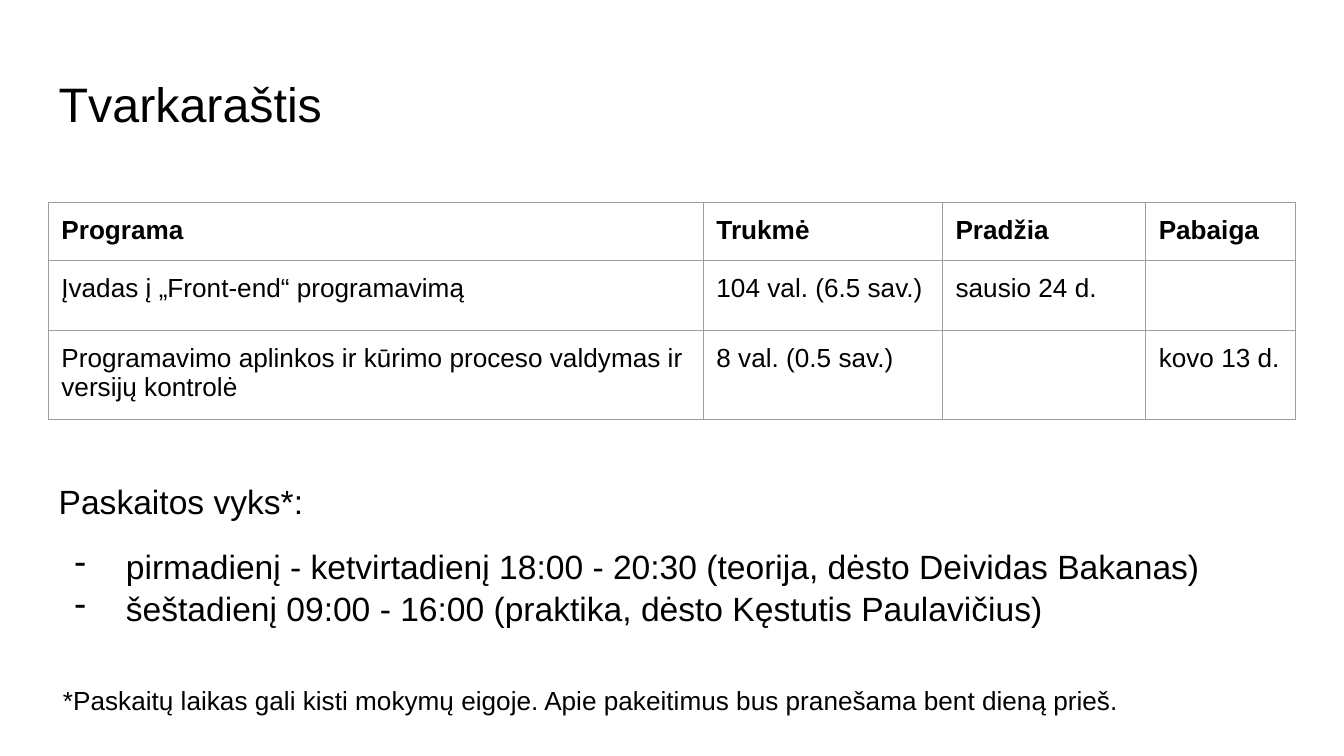
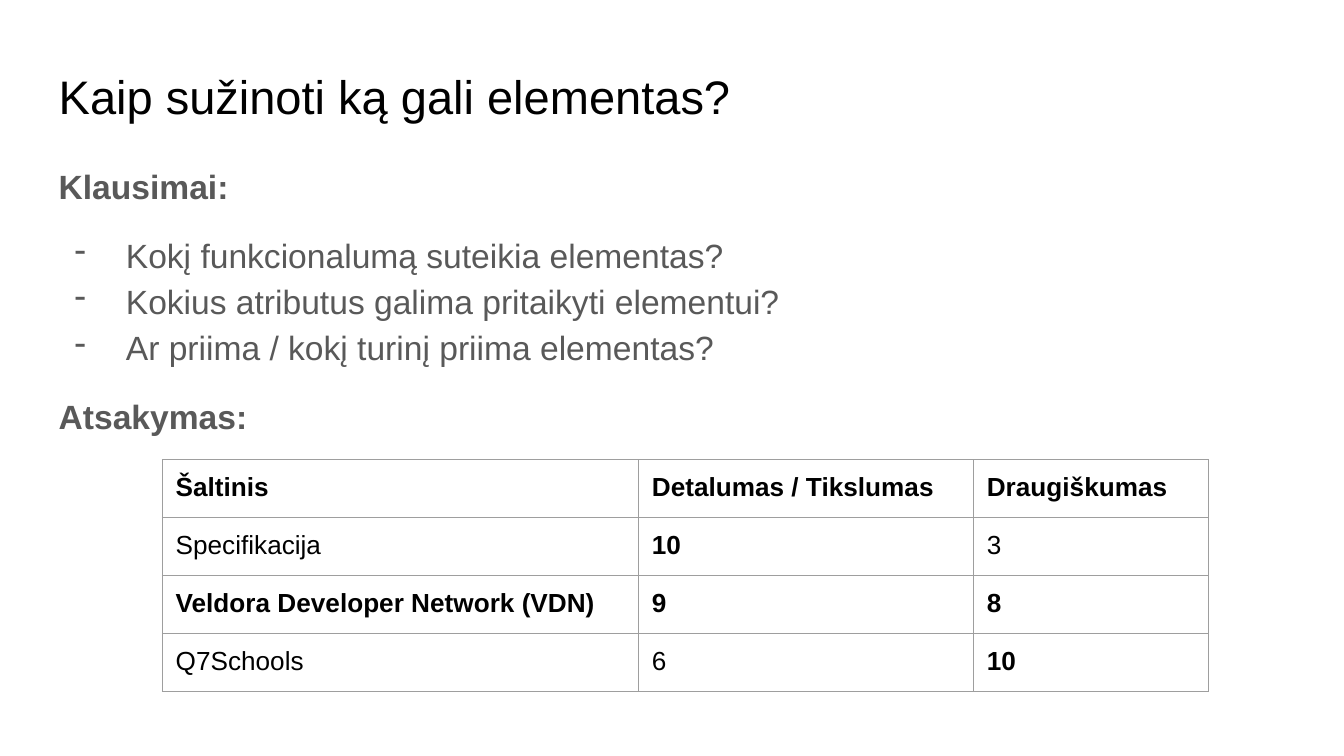
"""Builds two course slides: a timetable and a comparison of reference sources."""
from lxml import etree
from pptx import Presentation
from pptx import util as u
from pptx.dml.color import RGBColor
from pptx.enum import text
from pptx.oxml import ns

COLORS = {"ink": "000000", "body": "595959", "border": "9E9E9E"}
FONT = "Arial"
LEFT, WIDTH, INSET = 0.86, 23.67, 0.25


class Deck:
    """Holds the style and the current slide."""

    def __init__(self):
        self.prs = Presentation()
        self.prs.slide_width, self.prs.slide_height = u.Cm(25.4), u.Cm(14.29)

    def slide(self):
        self.s = self.prs.slides.add_slide(self.prs.slide_layouts[6])

    def font(self, p, size, color, bold=False):
        for r in p.runs:
            r.font.name, r.font.size, r.font.bold = FONT, u.Pt(size), bold
            r.font.color.rgb = RGBColor.from_string(COLORS[color])

    def inset(self, box):
        box.margin_left = box.margin_right = u.Cm(INSET)
        box.margin_top = box.margin_bottom = u.Cm(INSET)

    def text(self, lines, x, y, w, h, size, color="ink", spacing=1.0):
        sp = self.s.shapes.add_textbox(u.Cm(x), u.Cm(y), u.Cm(w), u.Cm(h))
        tf = sp.text_frame
        tf.word_wrap = True
        tf.vertical_anchor = text.MSO_ANCHOR.TOP
        self.inset(tf)
        tf.text = "\n".join(lines)
        for p in tf.paragraphs:
            p.line_spacing = spacing
            self.font(p, size, color)
        return tf.paragraphs

    def title(self, words, y, size, spacing=1.0):
        self.text([words], LEFT, y, WIDTH, 1.6, size, spacing=spacing)

    def bullet(self, p, color):
        pPr = p._p.get_or_add_pPr()
        pPr.set("marL", str(u.Cm(1.27)))
        pPr.set("indent", str(u.Cm(-0.97)))
        clr = etree.SubElement(pPr, ns.qn("a:buClr"))
        etree.SubElement(clr, ns.qn("a:srgbClr"), val=COLORS[color])
        etree.SubElement(pPr, ns.qn("a:buChar"), char="-")

    def body(self, groups, y, h, color, spacing, bold=False):
        lines = [line for head, items in groups for line in (head, *items)]
        paragraphs = iter(self.text(lines, LEFT, y, WIDTH, h, 18, color, spacing))
        for n, (_, items) in enumerate(groups):
            p = next(paragraphs)
            self.font(p, 18, color, bold)
            p.space_before = u.Pt(12 if n else 0)
            for i in range(len(items)):
                p = next(paragraphs)
                p.space_before = u.Pt(0 if i else 12)
                self.bullet(p, color)

    def borders(self, cell):
        tcPr = cell._tc.get_or_add_tcPr()
        for side in ("lnL", "lnR", "lnT", "lnB"):
            ln = etree.SubElement(tcPr, ns.qn(f"a:{side}"), w=str(u.Pt(0.75)))
            fill = etree.SubElement(ln, ns.qn("a:solidFill"))
            etree.SubElement(fill, ns.qn("a:srgbClr"), val=COLORS["border"])

    def table(self, rows, x, y, widths, heights, bold=()):
        sp = self.s.shapes.add_table(len(rows), len(widths), u.Cm(x), u.Cm(y),
                                     u.Cm(sum(widths)), u.Cm(sum(heights)))
        tbl = sp.table
        tbl.first_row = tbl.horz_banding = False
        for col, w in zip(tbl.columns, widths):
            col.width = u.Cm(w)
        for i, (row, h) in enumerate(zip(rows, heights)):
            tbl.rows[i].height = u.Cm(h)
            for j, words in enumerate(row):
                cell = tbl.cell(i, j)
                cell.text_frame.text = words
                self.inset(cell)
                self.borders(cell)
                cell.fill.background()
                self.font(cell.text_frame.paragraphs[0], 14, "ink",
                          i == 0 or (i, j) in bold)


def timetable(deck):
    deck.slide()
    deck.title("Tvarkaraštis", 1.24, 25.9, 0.95)
    deck.body([("Paskaitos vyks*:", [
        "pirmadienį - ketvirtadienį 18:00 - 20:30 (teorija, dėsto Deividas Bakanas)",
        "šeštadienį 09:00 - 16:00 (praktika, dėsto Kęstutis Paulavičius)",
    ])], 8.81, 3.35, "ink", 1.05)
    deck.table([
        ("Programa", "Trukmė", "Pradžia", "Pabaiga"),
        ("Įvadas į „Front-end“ programavimą", "104 val. (6.5 sav.)", "sausio 24 d.", ""),
        ("Programavimo aplinkos ir kūrimo proceso valdymas ir versijų kontrolė",
         "8 val. (0.5 sav.)", "", "kovo 13 d."),
    ], 0.91, 3.83, (12.38, 4.52, 3.84, 2.84), (1.07, 1.32, 1.62))
    deck.text(["*Paskaitų laikas gali kisti mokymų eigoje. "
               "Apie pakeitimus bus pranešama bent dieną prieš."],
              0.94, 12.6, 22.68, 1.12, 14, spacing=1.15)


def sources(deck):
    deck.slide()
    deck.title("Kaip sužinoti ką gali elementas?", 1.02, 25.2)
    deck.body([
        ("Klausimai:", ["Kokį funkcionalumą suteikia elementas?",
                        "Kokius atributus galima pritaikyti elementui?",
                        "Ar priima / kokį turinį priima elementas?"]),
        ("Atsakymas:", []),
    ], 2.77, 9.5, "body", 1.15, bold=True)
    deck.table([
        ("Šaltinis", "Detalumas / Tikslumas", "Draugiškumas"),
        ("Specifikacija", "10", "3"),
        ("Veldora Developer Network (VDN)", "9", "8"),
        ("Q7Schools", "6", "10"),
    ], 3.07, 8.69, (9, 6.33, 4.44), [1.06] * 4,
        bold={(1, 1), (2, 0), (2, 1), (2, 2), (3, 2)})


def main():
    deck = Deck()
    timetable(deck)
    sources(deck)
    deck.prs.save("out.pptx")


if __name__ == "__main__":
    main()
